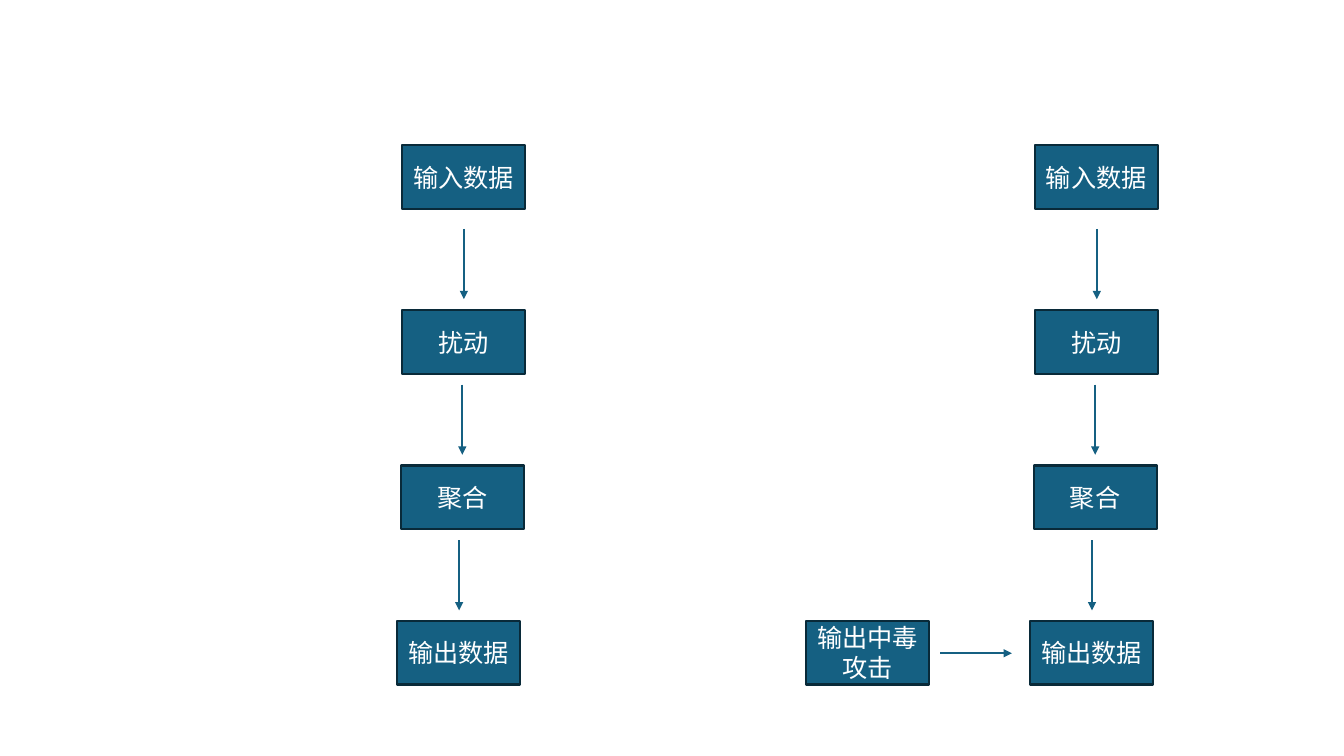
from lxml.etree import SubElement
from pptx import Presentation
from pptx.dml.color import RGBColor
from pptx.enum.shapes import MSO_CONNECTOR, MSO_SHAPE
from pptx.enum.text import MSO_ANCHOR, PP_ALIGN
from pptx.oxml.ns import qn
from pptx.util import Cm, Pt

COLORS = {"box": "156082", "border": "092A39", "text": "FFFFFF"}
FONT = "Noto Sans CJK SC"
BOX_WIDTH, BOX_HEIGHT = 3.1, 1.6
ARROW_LENGTH = 1.77
COLUMN_OFFSETS = (0, 15.95)

# text, left, top
STEPS = [
    ("输入数据", 10.13, 3.66),
    ("扰动", 10.13, 7.82),
    ("聚合", 10.1, 11.73),
    ("输出数据", 10.01, 15.65),
]
# x, start y
STEP_ARROWS = [(11.69, 5.77), (11.65, 9.69), (11.57, 13.61)]


def add_box(slide, text, left, top, size=18, color="text", fill="box"):
    shape = slide.shapes.add_shape(
        MSO_SHAPE.RECTANGLE, Cm(left), Cm(top), Cm(BOX_WIDTH), Cm(BOX_HEIGHT))
    shape.shadow.inherit = False
    shape.fill.solid()
    shape.fill.fore_color.rgb = RGBColor.from_string(COLORS[fill])
    shape.line.color.rgb = RGBColor.from_string(COLORS["border"])
    shape.line.width = Pt(1.5)
    frame = shape.text_frame
    frame.word_wrap = True
    frame.vertical_anchor = MSO_ANCHOR.MIDDLE
    paragraph = frame.paragraphs[0]
    paragraph.alignment = PP_ALIGN.CENTER
    run = paragraph.add_run()
    run.text = text
    run.font.size = Pt(size)
    run.font.name = FONT
    run.font.color.rgb = RGBColor.from_string(COLORS[color])
    SubElement(run.font._element, qn("a:ea"), typeface=FONT)


def add_arrow(slide, x, y, across=0, down=0):
    connector = slide.shapes.add_connector(
        MSO_CONNECTOR.STRAIGHT, Cm(x), Cm(y), Cm(x + across), Cm(y + down))
    connector.line.color.rgb = RGBColor.from_string(COLORS["box"])
    connector.line.width = Pt(1.5)
    SubElement(connector.line._get_or_add_ln(), qn("a:tailEnd"), type="triangle")
    SubElement(connector._element.spPr, qn("a:effectLst"))


presentation = Presentation()
presentation.slide_width = Cm(33.87)
presentation.slide_height = Cm(19.05)
slide = presentation.slides.add_slide(presentation.slide_layouts[6])

for offset in COLUMN_OFFSETS:
    for text, left, top in STEPS:
        add_box(slide, text, left + offset, top)
    for x, y in STEP_ARROWS:
        add_arrow(slide, x + offset, y, down=ARROW_LENGTH)

add_box(slide, "输出中毒攻击", 20.32, 15.65)
add_arrow(slide, 23.7, 16.46, across=1.8)

presentation.save("out.pptx")
